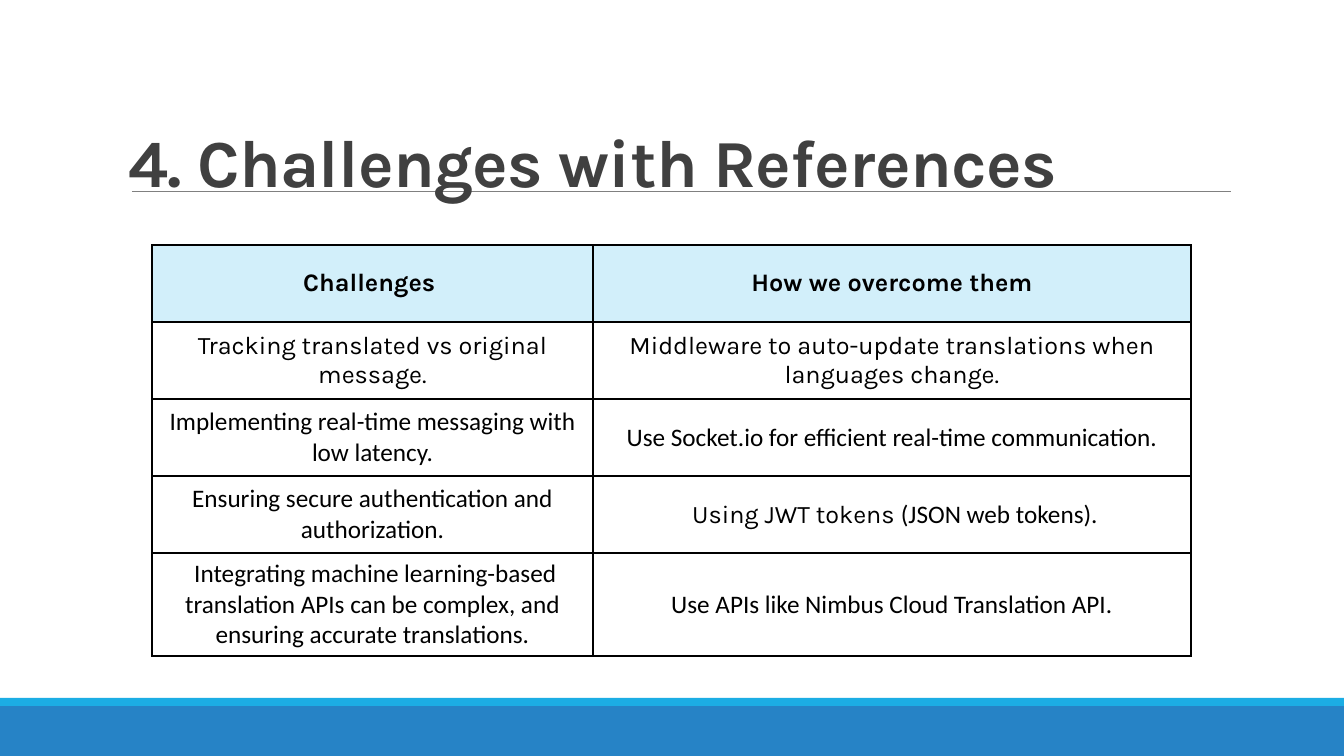
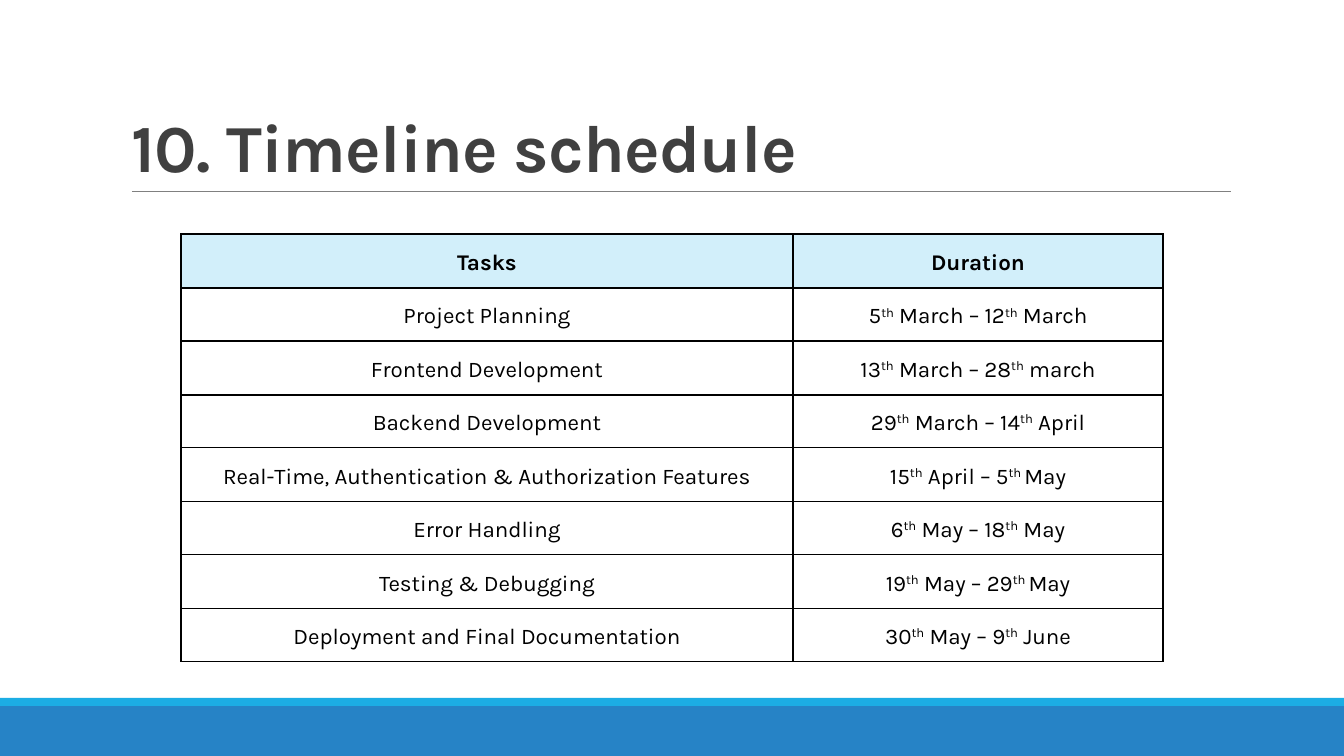
from dataclasses import dataclass

from lxml.etree import SubElement
from pptx import Presentation
from pptx.dml.color import RGBColor
from pptx.enum.shapes import MSO_CONNECTOR as Connector, MSO_SHAPE as Shape
from pptx.enum.text import MSO_ANCHOR as Anchor, MSO_AUTO_SIZE as AutoSize, PP_ALIGN as Align
from pptx.oxml.ns import qn
from pptx.util import Emu, Pt

SLIDE_W, SLIDE_H = 1344, 756
EMU_PER_PX = 914400 / 100.8
TITLE_ONLY = 5


@dataclass(frozen=True)
class Theme:
    heading_font: str = "Karla"
    body_font: str = "Calibri"
    title_size: int = 48
    title_color: str = "404040"
    text_color: str = "000000"
    band: str = "2683C6"
    accent: str = "1CADE4"
    rule: str = "808080"
    header_fill: str = "D2EFFA"
    cell_fill: str = "FFFFFF"
    border: str = "000000"


@dataclass(frozen=True)
class Span:
    text: str
    font: str = ""
    raised: bool = False


def px(length):
    return Emu(round(length * EMU_PER_PX))


def rgb(code):
    return RGBColor.from_string(code)


def ordinals(text):
    """Split text at ^ marks; every second piece is superscript."""
    return [Span(piece, raised=i % 2 == 1) for i, piece in enumerate(text.split("^"))]


class Deck:
    def __init__(self, theme):
        self.theme = theme
        self.prs = Presentation()
        self.prs.slide_width, self.prs.slide_height = px(SLIDE_W), px(SLIDE_H)
        self.slide = None

    def add_slide(self, title, left, top):
        layout = self.prs.slide_layouts[TITLE_ONLY]
        self.slide = self.prs.slides.add_slide(layout)
        self.band(706, 50, self.theme.band)
        self.band(698, 8, self.theme.accent)
        self.rule(132, 1231, 191)
        self.title(title, left, top)

    def band(self, top, height, color):
        band = self.slide.shapes.add_shape(
            Shape.RECTANGLE, 0, px(top), px(SLIDE_W), px(height))
        band.shadow.inherit = False
        band.fill.solid()
        band.fill.fore_color.rgb = rgb(color)
        band.line.fill.background()

    def rule(self, left, right, y):
        rule = self.slide.shapes.add_connector(
            Connector.STRAIGHT, px(left), px(y), px(right), px(y))
        rule.line.color.rgb = rgb(self.theme.rule)
        rule.line.width = Pt(0.5)
        SubElement(rule._element.spPr, qn("a:effectLst"))

    def title(self, text, left, top):
        title = self.slide.shapes.title
        title.left, title.top, title.width, title.height = map(px, (left, top, 1109, 160))
        frame = title.text_frame
        frame.text = text
        frame.word_wrap = True
        frame.auto_size = AutoSize.NONE
        frame.vertical_anchor = Anchor.BOTTOM
        heading = frame.paragraphs[0]
        heading.alignment = Align.LEFT
        heading.line_spacing = 0.85
        self.style(heading.font, self.theme.heading_font, self.theme.title_size,
                   self.theme.title_color, bold=True)
        heading.runs[0]._r.get_or_add_rPr().set("spc", "-50")
        # Bring the title in front of the rule.
        self.slide.shapes._spTree.append(title._element)

    def style(self, font, name, size, color, bold=False):
        font.name, font.size, font.bold = name, Pt(size), bold
        font.color.rgb = rgb(color)

    def table(self, left, top, columns, row_heights, rows, size,
              line_spacing=None, space_after=None):
        frame = self.slide.shapes.add_table(
            len(rows), len(columns), px(left), px(top),
            px(sum(columns)), px(sum(row_heights)))
        table = frame.table
        table.first_row = table.horz_banding = False
        for column, width in zip(table.columns, columns):
            column.width = px(width)
        for r, (row, height) in enumerate(zip(rows, row_heights)):
            table.rows[r].height = px(height)
            for c, spans in enumerate(row):
                cell = table.cell(r, c)
                self.cell(cell, spans, size, is_header=r == 0)
                paragraph = cell.text_frame.paragraphs[0]
                paragraph.line_spacing = line_spacing
                paragraph.space_after = space_after

    def cell(self, cell, spans, size, is_header):
        theme = self.theme
        self.borders(cell)
        cell.fill.solid()
        cell.fill.fore_color.rgb = rgb(theme.header_fill if is_header else theme.cell_fill)
        cell.vertical_anchor = Anchor.MIDDLE
        paragraph = cell.text_frame.paragraphs[0]
        paragraph.alignment = Align.CENTER
        fonts = [span.font or theme.heading_font for span in spans]
        self.style(paragraph.font, fonts[0], size, theme.text_color, is_header)
        for span, font in zip(spans, fonts):
            run = paragraph.add_run()
            run.text = span.text
            if font != fonts[0]:
                run.font.name = font
            if span.raised:
                run._r.get_or_add_rPr().set("baseline", "30000")

    def borders(self, cell):
        properties = cell._tc.get_or_add_tcPr()
        for side in ("lnL", "lnR", "lnT", "lnB"):
            line = SubElement(properties, qn(f"a:{side}"), w=str(Pt(1)))
            fill = SubElement(line, qn("a:solidFill"))
            SubElement(fill, qn("a:srgbClr"), val=self.theme.border)


def challenges(deck):
    def body(text):
        return [Span(text, deck.theme.body_font)]

    deck.add_slide("4. Challenges with References", 118, 46)
    rows = [
        ([Span("Challenges ")], [Span("How we overcome them")]),
        ([Span("Tracking translated vs original message.")],
         [Span("Middleware to auto-update translations when languages change.")]),
        (body("Implementing real-time messaging with low latency."),
         body("Use Socket.io for efficient real-time communication.")),
        (body("Ensuring secure authentication and authorization."),
         [Span(" Using JWT tokens "), *body("(JSON web tokens).")]),
        (body(" Integrating machine learning-based translation APIs can be complex, "
              "and ensuring accurate translations."),
         body("Use APIs like Nimbus Cloud Translation API.")),
    ]
    deck.table(152, 245, (441, 598), [77] * 4 + [103], rows, size=18)


def timeline(deck):
    deck.add_slide("10. Timeline schedule", 121, 31)
    schedule = [
        ("Tasks", "Duration"),
        ("Project Planning", "5^th^ March – 12^th^ March"),
        ("Frontend Development", "13^th^ March – 28^th^ march"),
        ("Backend Development", "29^th^ March – 14^th^ April"),
        ("Real-Time, Authentication & Authorization Features", "15^th^ April – 5^th ^May"),
        ("Error Handling", "6^th^ May – 18^th^ May"),
        ("Testing & Debugging", "19^th^ May – 29^th ^May"),
        ("Deployment and Final Documentation", "30^th^ May – 9^th^ June"),
    ]
    rows = [([Span(task)], ordinals(duration)) for task, duration in schedule]
    deck.table(181, 234, (612, 370), [54, 53] * 4, rows, size=16,
               line_spacing=1.15, space_after=Pt(8))


def main():
    deck = Deck(Theme())
    challenges(deck)
    timeline(deck)
    deck.prs.save("out.pptx")


if __name__ == "__main__":
    main()
